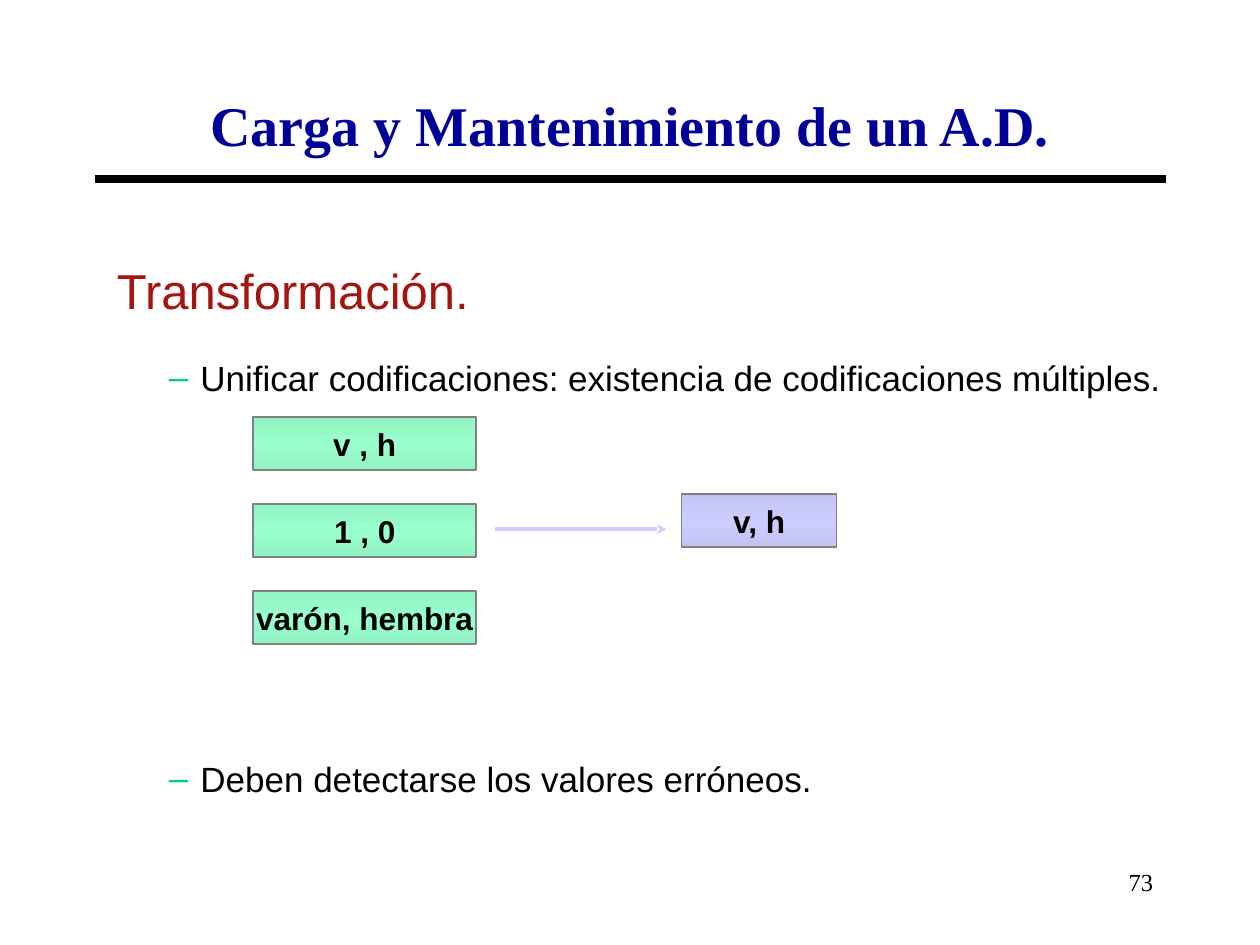
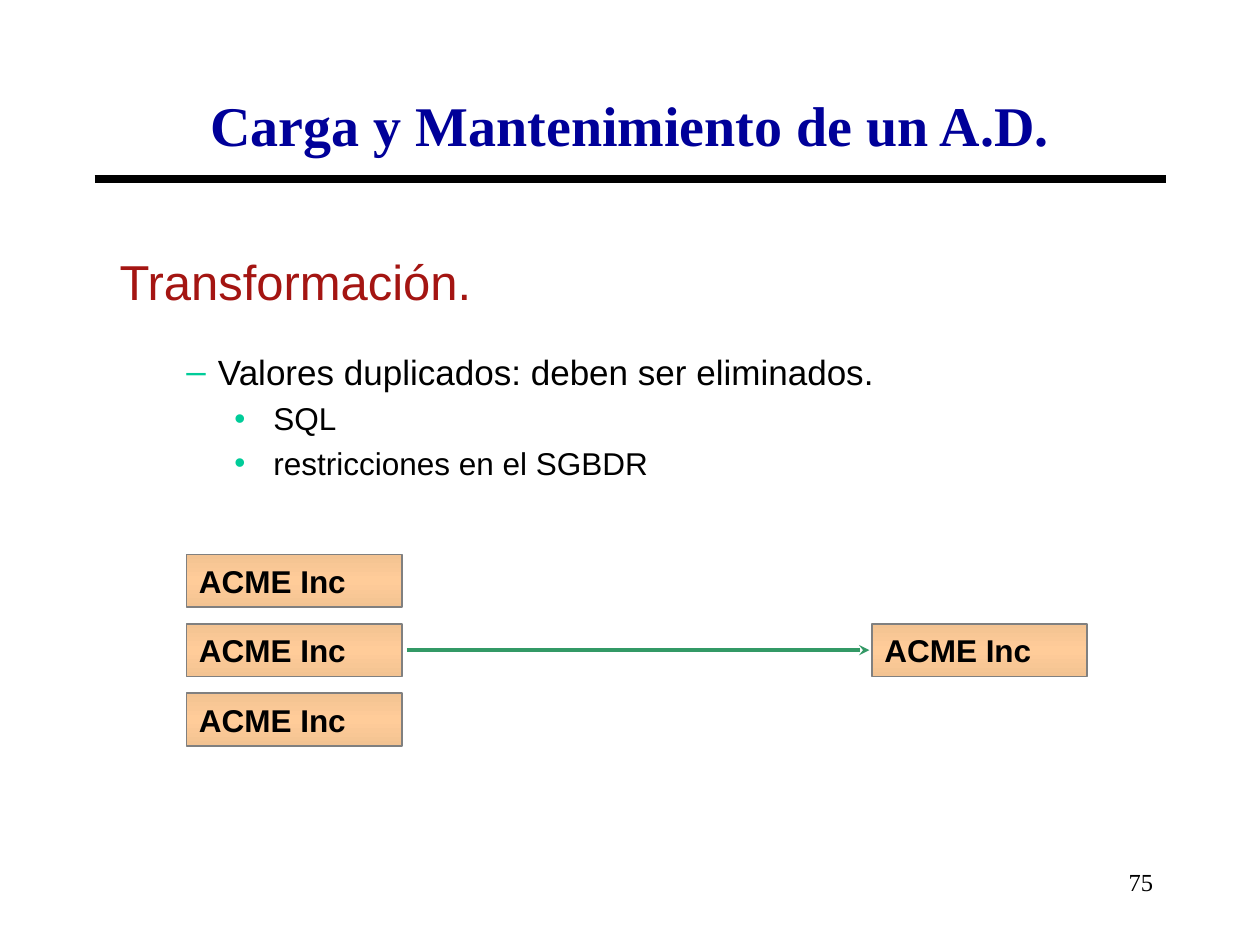
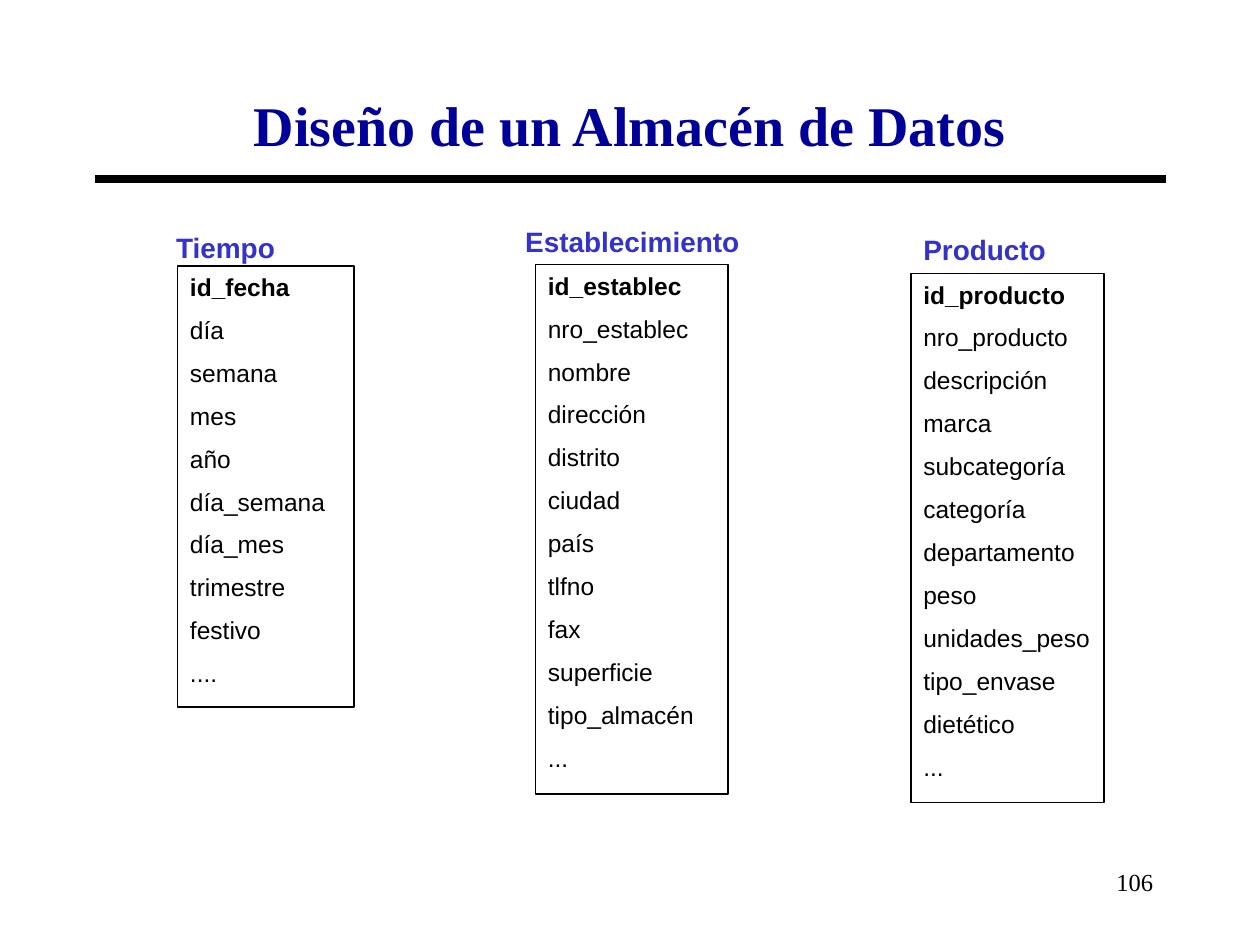
from copy import deepcopy

from lxml.etree import SubElement
from pptx import Presentation
from pptx.dml.color import RGBColor
from pptx.enum.shapes import MSO_CONNECTOR as Connector, MSO_SHAPE as Preset
from pptx.enum.text import MSO_ANCHOR as Anchor, MSO_AUTO_SIZE as AutoSize, PP_ALIGN as Align
from pptx.oxml.ns import qn
from pptx.util import Inches, Pt

SERIF, SANS = "Times New Roman", "Arial"
BLACK, NAVY, RED, BLUE = "000000", "000099", "A41512", "3333CC"
GRAY, TEAL, LILAC, GREEN = "808080", "00CC99", "CCCCFF", "339966"
MINT_FILL = ("92F3C3", "99FFCC")
LILAC_FILL = ("C3C3F3", "CCCCFF")
PEACH_FILL = ("F3C392", "FFCC99")
TITLE_LAYOUT, LIST_LAYOUT = 5, 1
CODE_BOX_HEIGHT = 0.42
FIELD_PITCH = 0.35
BULLETS = {1: ("–", 0.37, -0.25, 20), 2: ("•", 0.81, -0.31, 18)}


def color(value):
    """Turn a hex string into a colour."""
    return RGBColor.from_string(value)


def style(para, size, name, value, bold=False, align=Align.LEFT):
    """Set the font and alignment of a paragraph."""
    para.alignment = align
    font = para.font
    font.size, font.name, font.bold = Pt(size), name, bold
    font.color.rgb = color(value)


def place(shape, left, top, width, height):
    """Move and size a shape in inches."""
    shape.left, shape.top = Inches(left), Inches(top)
    shape.width, shape.height = Inches(width), Inches(height)


def add_label(page, box, text, size, name, value, bold=False, align=Align.LEFT):
    """Add a one-paragraph text box."""
    frame = page.shapes.add_textbox(*map(Inches, box)).text_frame
    frame.word_wrap = True
    frame.text = text
    style(frame.paragraphs[0], size, name, value, bold, align)


def add_line(page, start, end, value, width, arrow=False):
    """Draw a straight line, with an arrowhead if asked."""
    line = page.shapes.add_connector(Connector.STRAIGHT, *map(Inches, start + end))
    line.line.color.rgb = color(value)
    line.line.width = Pt(width)
    properties = line._element.spPr
    if arrow:
        SubElement(properties.find(qn("a:ln")), qn("a:tailEnd"), type="stealth")
    SubElement(properties, qn("a:effectLst"))


def add_page(deck, layout, title, number):
    """Add a slide with the shared title, rule and number."""
    page = deck.slides.add_slide(deck.slide_layouts[layout])
    place(page.shapes.title, 0.75, 0.67, 8.5, 1.25)
    frame = page.shapes.title.text_frame
    frame.text = title
    frame.auto_size, frame.vertical_anchor = AutoSize.NONE, Anchor.TOP
    style(frame.paragraphs[0], 32, SERIF, NAVY, True, Align.CENTER)
    add_line(page, (0.75, 1.42), (9.25, 1.42), BLACK, 4.5)
    add_label(page, (7.17, 6.83, 2.08, 0.5), number, 14, SERIF, BLACK, align=Align.RIGHT)
    return page


def fill_list(page, box, items):
    """Fill the body placeholder with (level, text, space before) items."""
    body = page.placeholders[1]
    place(body, *box)
    frame = body.text_frame
    frame.auto_size = AutoSize.NONE
    for index, (level, text, space) in enumerate(items):
        para = frame.add_paragraph() if index else frame.paragraphs[0]
        mark, indent, hanging, size = BULLETS[level]
        para.text, para.level = text, level
        para.space_before = Pt(space)
        properties = para._p.get_or_add_pPr()
        properties.set("marL", str(Inches(indent)))
        properties.set("indent", str(Inches(hanging)))
        SubElement(SubElement(properties, qn("a:buClr")), qn("a:srgbClr"), val=TEAL)
        SubElement(properties, qn("a:buChar"), char=mark)
        style(para, size, SANS, BLACK)


def add_box(page, left, top, width, height):
    """Add a plain rectangle without shadow."""
    shape = page.shapes.add_shape(Preset.RECTANGLE, *map(Inches, (left, top, width, height)))
    shape.shadow.inherit = False
    shape.line.width = Pt(1)
    return shape


def add_code_box(page, left, top, width, text, shades, align):
    """Add a gradient box holding one coded value."""
    shape = add_box(page, left, top, width, CODE_BOX_HEIGHT)
    shape.line.color.rgb = color(GRAY)
    shape.fill.gradient()
    shape.fill.gradient_angle = 90
    stop_list = shape._element.spPr.find(".//" + qn("a:gsLst"))
    stop_list.append(deepcopy(stop_list[0]))
    edge, middle = shades
    for stop, position, shade in zip(shape.fill.gradient_stops, (0, 0.5, 1), (edge, middle, edge)):
        stop.position = position
        stop.color.rgb = color(shade)
    frame = shape.text_frame
    frame.word_wrap, frame.vertical_anchor = False, Anchor.MIDDLE
    frame.text = text
    style(frame.paragraphs[0], 18, SANS, BLACK, True, align)


def add_code_stack(page, left, top, width, pitch, texts, shades, align):
    """Stack code boxes at an even pitch."""
    for row, text in enumerate(texts):
        add_code_box(page, left, top + row * pitch, width, text, shades, align)


def add_entity(page, left, top, name, name_box, width, fields):
    """Add a named dimension box listing its key and fields."""
    shape = add_box(page, left, top, width, FIELD_PITCH * len(fields))
    shape.fill.background()
    shape.line.color.rgb = color(BLACK)
    frame = shape.text_frame
    frame.word_wrap, frame.vertical_anchor = True, Anchor.TOP
    frame.text = "\n".join(fields)
    for index, para in enumerate(frame.paragraphs):
        para.space_before = Pt(7.7 if index else 0)
        style(para, 14, SANS, BLACK, bold=index == 0)
    add_label(page, name_box, name, 16, SANS, BLUE, True)


def build_encodings(deck):
    """Build the slide on unifying encodings."""
    page = add_page(deck, LIST_LAYOUT, "Carga y Mantenimiento de un A.D.", "73")
    add_label(page, (0.83, 2.02, 7.98, 0.59), "Transformación.", 28, SANS, RED)
    fill_list(page, (1.12, 2.78, 8.33, 3.63), [
        (1, "Unificar codificaciones: existencia de codificaciones múltiples.", 0),
        (1, "Deben detectarse los valores erróneos.", 205),
    ])
    add_code_stack(page, 2.01, 3.31, 1.77, 0.69, ("v , h", "1 , 0", "varón, hembra"),
                   MINT_FILL, Align.CENTER)
    add_line(page, (3.93, 4.2), (5.29, 4.2), LILAC, 2, arrow=True)
    add_code_box(page, 5.41, 3.92, 1.23, "v, h", LILAC_FILL, Align.CENTER)


def build_duplicates(deck):
    """Build the slide on removing duplicates."""
    page = add_page(deck, LIST_LAYOUT, "Carga y Mantenimiento de un A.D.", "75")
    add_label(page, (0.85, 1.95, 7.98, 0.6), "Transformación.", 28, SANS, RED)
    fill_list(page, (1.26, 2.73, 7.59, 1.16), [
        (1, "Valores duplicados: deben ser eliminados.", 0),
        (2, "SQL", 4),
        (2, "restricciones en el SGBDR", 4),
    ])
    add_code_stack(page, 1.48, 4.4, 1.71, 0.55, ["ACME Inc"] * 3, PEACH_FILL, Align.LEFT)
    add_code_box(page, 6.92, 4.95, 1.71, "ACME Inc", PEACH_FILL, Align.LEFT)
    add_line(page, (3.23, 5.16), (6.9, 5.16), GREEN, 2, arrow=True)


def build_dimensions(deck):
    """Build the slide with the three dimension boxes."""
    page = add_page(deck, TITLE_LAYOUT, "Diseño de un Almacén de Datos", "106")
    add_entity(page, 4.25, 2.1, "Establecimiento", (4.07, 1.73, 2.02, 0.37), 1.53, (
        "id_establec", "nro_establec", "nombre", "dirección", "distrito", "ciudad",
        "país", "tlfno", "fax", "superficie", "tipo_almacén", "..."))
    add_entity(page, 1.41, 2.11, "Tiempo", (1.3, 1.78, 1.26, 0.37), 1.4, (
        "id_fecha", "día", "semana", "mes", "año", "día_semana", "día_mes",
        "trimestre", "festivo", "...."))
    add_entity(page, 7.23, 2.17, "Producto", (7.23, 1.8, 1.26, 0.37), 1.53, (
        "id_producto", "nro_producto", "descripción", "marca", "subcategoría", "categoría",
        "departamento", "peso", "unidades_peso", "tipo_envase", "dietético", "..."))


def main():
    """Build and save the deck."""
    deck = Presentation()
    deck.slide_width, deck.slide_height = Inches(10), Inches(7.5)
    build_encodings(deck)
    build_duplicates(deck)
    build_dimensions(deck)
    deck.save("out.pptx")


if __name__ == "__main__":
    main()
